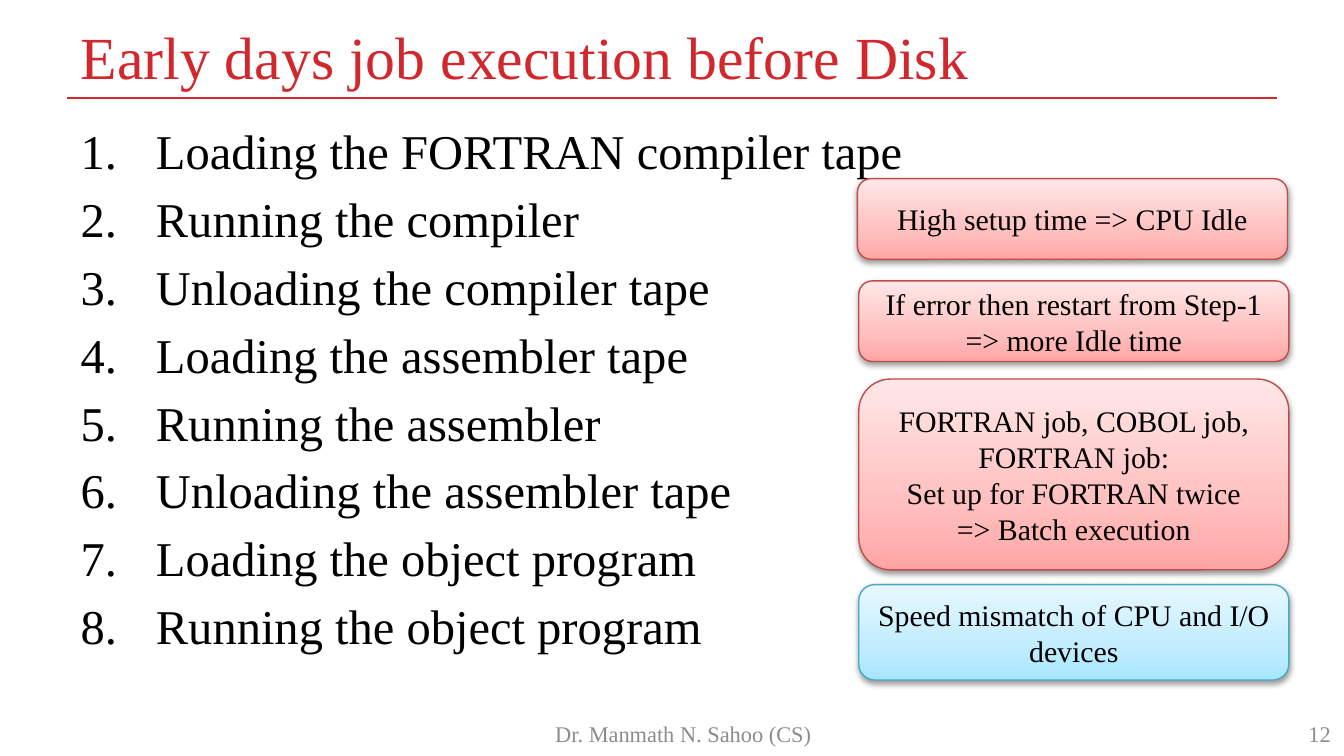
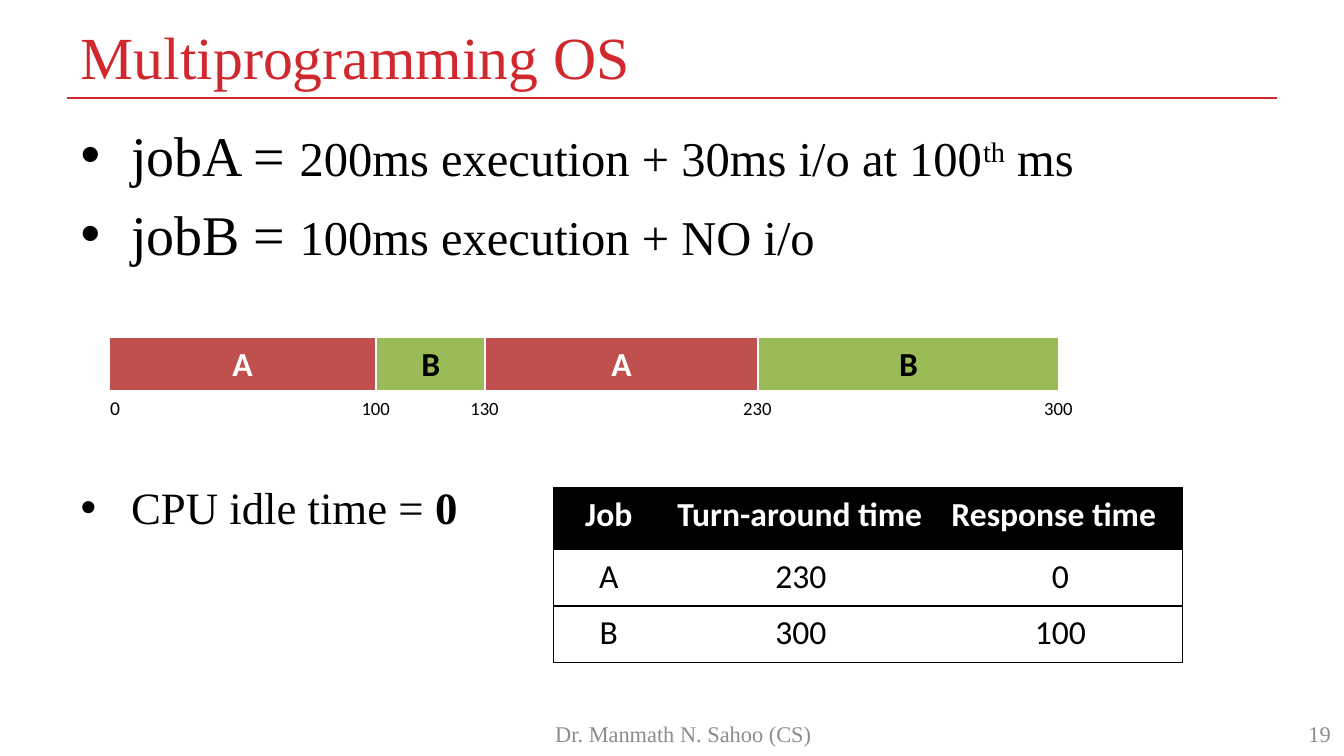
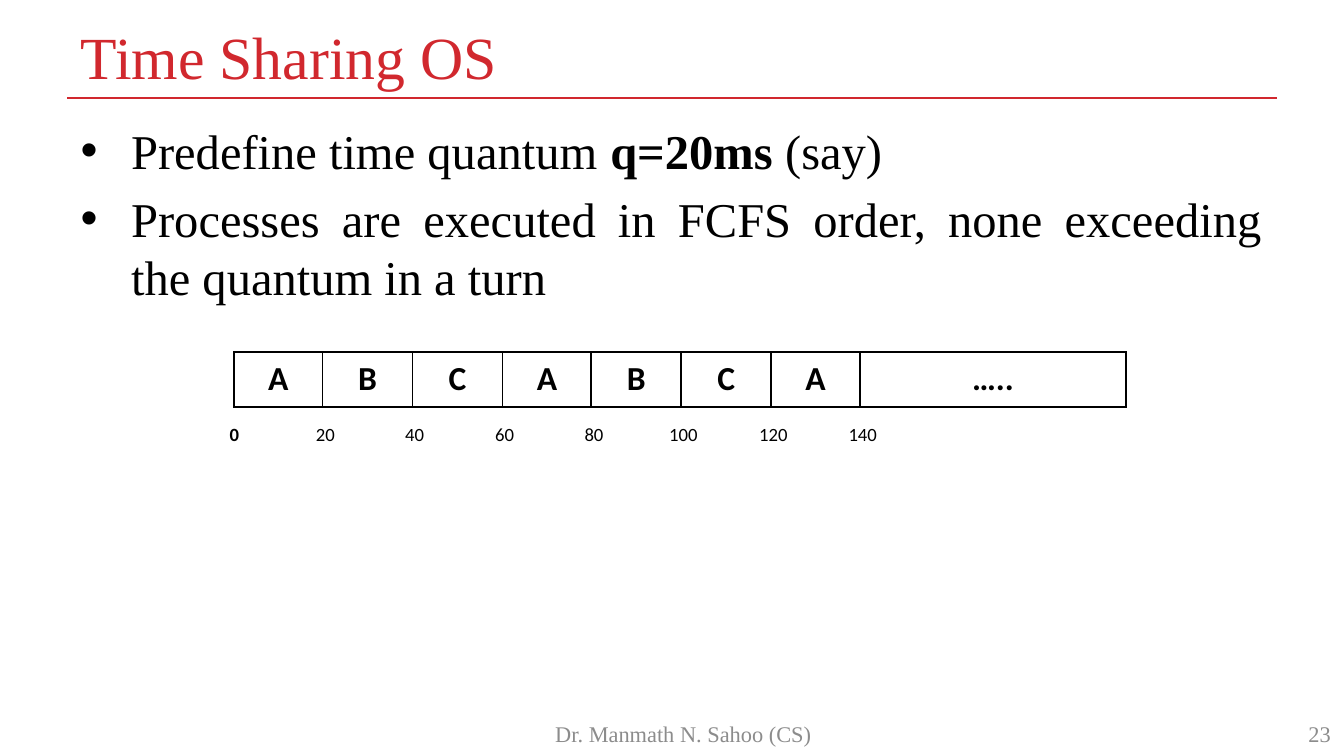
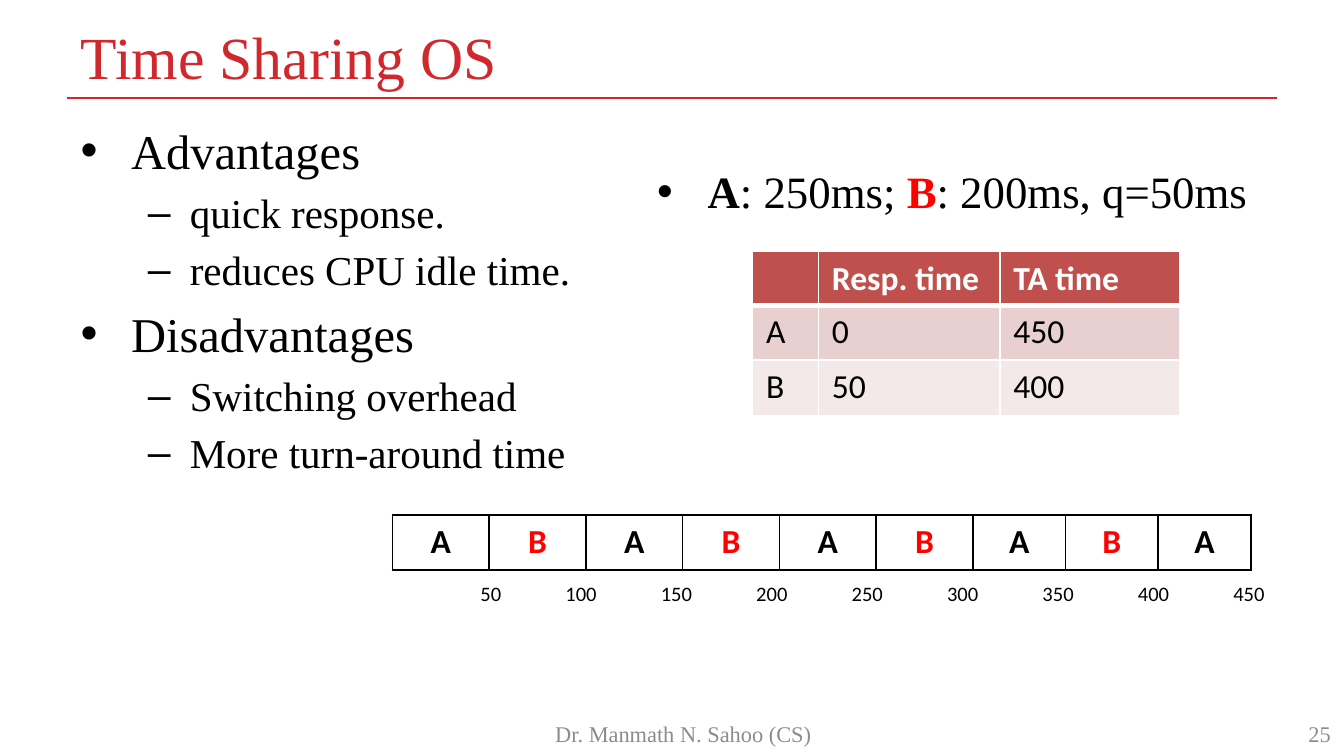
from dataclasses import dataclass

from lxml import etree
from pptx import Presentation
from pptx.dml.color import RGBColor
from pptx.enum import shapes, text
from pptx.oxml.ns import qn
from pptx.util import Emu, Pt

PX = 9144  # one px is a hundredth of an inch
SLIDE_WIDTH = 1000


@dataclass(frozen=True)
class Theme:
    serif: str = "Times New Roman"
    sans: str = "Calibri"
    accent: str = "D1282E"
    ink: str = "000000"
    paper: str = "FFFFFF"
    muted: str = "8C8C8C"
    job_a: str = "C0504D"
    job_b: str = "9BBB59"
    alert: str = "FF0000"
    bands: tuple = ("E8D0D0", "F4E9E9")
    title: int = 32
    lead: int = 30
    body: int = 26
    note: int = 24
    sub: int = 22
    cell: int = 18
    box: int = 16
    footer: int = 12
    tick: int = 10


T = Theme()
LEFT, CENTER, RIGHT, JUSTIFY = (text.PP_ALIGN.LEFT, text.PP_ALIGN.CENTER,
                                text.PP_ALIGN.RIGHT, text.PP_ALIGN.JUSTIFY)
TOP, MIDDLE, BOTTOM = (text.MSO_ANCHOR.TOP, text.MSO_ANCHOR.MIDDLE,
                       text.MSO_ANCHOR.BOTTOM)

# ---- Content ----
FOOTER = "Dr. Manmath N. Sahoo (CS)"
BODY = (50, 85, 900, 430)

JOB_STEPS = [
    "Loading the FORTRAN compiler tape",
    "Running the compiler",
    "Unloading the compiler tape",
    "Loading the assembler tape",
    "Running the assembler",
    "Unloading the assembler tape",
    "Loading the object program",
    "Running the object program",
]
RED_BOX = ("BF4C48", ((0, "FFA6A5"), (35, "FFC0BF"), (100, "FFE7E7")))
BLUE_BOX = ("46AAC5", ((0, "A7E6FF"), (35, "C1EDFF"), (100, "E7F8FF")))
REMARKS = [
    ((639, 209, 320, 60), RED_BOX,
     "If error then restart from Step-1 => more Idle time"),
    ((638, 133, 320, 60), RED_BOX, "High setup time => CPU Idle"),
    ((639, 282, 320, 142), RED_BOX,
     "FORTRAN job, COBOL job, FORTRAN job:\nSet up for FORTRAN twice\n"
     "=> Batch execution"),
    ((639, 435, 320, 71), BLUE_BOX, "Speed mismatch of CPU and I/O devices"),
]

JOBS = [
    [("jobA = ", {"size": T.lead}), ("200ms execution + 30ms i/o at 100", {}),
     ("th", {"raised": True}), (" ms", {})],
    [("jobB = ", {"size": T.lead}), ("100ms execution + NO i/o", {})],
]
IDLE = [[("CPU idle time = ", {}), ("0", {"bold": True})]]
MULTI_WIDTHS = [199, 81, 203, 224]
MULTI_RUN = ["A", "B", "A", "B"]
MULTI_TICKS = ["100", "130", "230", "300"]
JOB_TIMES = [
    ["Job", "Turn-around time", "Response time"],
    ["A", "230", "0"],
    ["B", "300", "100"],
]

QUANTUM = [
    [("Predefine time quantum ", {}), ("q=20ms ", {"bold": True}),
     ("(say)", {})],
    "Processes are executed in FCFS order, none exceeding the quantum in a turn",
]
# Three turns span 200 px
SHARE_WIDTHS = [200 * (turn + 1) // 3 - 200 * turn // 3
                for turn in range(7)] + [198]
SHARE_RUN = list("ABCABCA") + ["….."]
SHARE_TICKS = [str(20 * turn) for turn in range(1, 8)] + [""]

TRADE_OFFS = [
    ("Advantages", ["quick response.", "reduces CPU idle time."]),
    ("Disadvantages", ["Switching overhead", "More turn-around time"]),
]
EXAMPLE = [[("A", {"bold": True}), (": 250ms; ", {}),
            ("B", {"bold": True, "color": T.alert}),
            (": 200ms, q=50ms", {})]]
EXAMPLE_TIMES = [
    ["", "Resp. time", "TA time"],
    ["A", "0", "450"],
    ["B", "50", "400"],
]
EXAMPLE_RUN = list("ABABABABA")
EXAMPLE_TICKS = [str(50 * turn) for turn in range(1, 10)]


# ---- Text ----
def px(*lengths):
    return [Emu(length * PX) for length in lengths]


def rgb(color):
    return RGBColor.from_string(color)


def style(run, size, color=T.ink, bold=False, face=T.serif, raised=False):
    run.font.size, run.font.bold, run.font.name = Pt(size), bold, face
    run.font.color.rgb = rgb(color)
    if raised:
        run.font._element.set("baseline", "30000")


def write(frame, words, align=LEFT, anchor=TOP, wrap=True, **look):
    frame.text = words
    frame.word_wrap, frame.vertical_anchor = wrap, anchor
    for paragraph in frame.paragraphs:
        paragraph.alignment = align
        for run in paragraph.runs:
            style(run, **look)


def add_label(slide, place, words, **look):
    label = slide.shapes.add_textbox(*px(*place))
    write(label.text_frame, words, **look)


def place_at(placeholder, place):
    (placeholder.left, placeholder.top,
     placeholder.width, placeholder.height) = px(*place)
    placeholder.text_frame.auto_size = text.MSO_AUTO_SIZE.NONE


def fill_list(placeholder, place, items, size=T.body, numbered=False):
    """Each item is a string, a list of (words, look), or (words, sub-items)."""
    place_at(placeholder, place)
    frame = placeholder.text_frame
    frame.vertical_anchor = TOP
    lines = []
    for item in items:
        if isinstance(item, tuple):
            lines.append((0, size, [(item[0], {})]))
            lines += [(1, T.sub, [(sub, {})]) for sub in item[1]]
        else:
            parts = [(item, {})] if isinstance(item, str) else item
            lines.append((0, size, parts))
    for index, (level, line_size, parts) in enumerate(lines):
        paragraph = frame.add_paragraph() if index else frame.paragraphs[0]
        paragraph.level, paragraph.alignment = level, JUSTIFY
        if index == 0:
            paragraph.space_before = Pt(0)
        if numbered:
            props = paragraph._p.get_or_add_pPr()
            props.set("marL", str(56 * PX))
            props.set("indent", str(-56 * PX))
            etree.SubElement(props, qn("a:buAutoNum"), type="arabicPeriod")
        for words, look in parts:
            run = paragraph.add_run()
            run.text = words
            style(run, **{"size": line_size, **look})


# ---- Shared slide frame ----
def add_slide(deck, layout, title, number):
    slide = deck.slides.add_slide(deck.slide_layouts.get_by_name(layout))
    place_at(slide.shapes.title, (50, -2, 900, 75))
    write(slide.shapes.title.text_frame, title, anchor=BOTTOM,
          size=T.title, color=T.accent)
    rule = slide.shapes.add_connector(
        shapes.MSO_CONNECTOR.STRAIGHT, *px(50, 73, 950, 73))
    rule.line.color.rgb, rule.line.width = rgb(T.accent), Pt(0.75)
    etree.SubElement(rule._element.spPr, qn("a:effectLst"))
    for place, words, align in (((350, 531, 317, 30), FOOTER, CENTER),
                                ((767, 531, 233, 30), number, RIGHT)):
        add_label(slide, place, words, align=align, anchor=BOTTOM,
                  size=T.footer, color=T.muted)
    return slide


# ---- Remark boxes ----
def add_remark(slide, place, colors, words):
    outline, stops = colors
    box = slide.shapes.add_shape(
        shapes.MSO_SHAPE.ROUNDED_RECTANGLE, *px(*place))
    box.fill.gradient()
    box.fill.gradient_angle = 90
    ramp = box._element.spPr.find(".//" + qn("a:gsLst"))
    for stop in list(ramp):
        ramp.remove(stop)
    for percent, color in stops:
        stop = etree.SubElement(ramp, qn("a:gs"), pos=str(percent * 1000))
        etree.SubElement(stop, qn("a:srgbClr"), val=color)
    box.line.color.rgb, box.line.width = rgb(outline), Pt(0.75)
    box.shadow.inherit = False
    effects = box._element.spPr.find(qn("a:effectLst"))
    shade = etree.SubElement(effects, qn("a:outerShdw"), blurRad="40000",
                             dist="20000", dir="5400000", rotWithShape="0")
    tint = etree.SubElement(shade, qn("a:srgbClr"), val=T.ink)
    etree.SubElement(tint, qn("a:alpha"), val="38000")
    write(box.text_frame, words, align=CENTER, anchor=MIDDLE, size=T.box)


# ---- Tables ----
NO_STYLE = "{2D5ABB26-0587-4C30-8999-92F81FD0307C}"


def box_edges(color, width=1, bottom=None):
    return {"L": (color, width), "R": (color, width), "T": (color, width),
            "B": (color, bottom or width)}


def set_edges(cell, edges):
    props = cell._tc.get_or_add_tcPr()
    for index, side in enumerate([s for s in "LRTB" if s in edges]):
        color, width = edges[side]
        line = etree.Element(qn("a:ln" + side), w=str(Pt(width)))
        solid = etree.SubElement(line, qn("a:solidFill"))
        etree.SubElement(solid, qn("a:srgbClr"), val=color)
        props.insert(index, line)


def add_grid(slide, corner, widths, heights, rows, look, inset=None):
    """look(row, column, words) gives the fill, edges and text of a cell."""
    table = slide.shapes.add_table(
        len(rows), len(widths), *px(*corner, sum(widths), sum(heights))).table
    table.first_row = table.horz_banding = False
    table._tbl.tblPr.find(qn("a:tableStyleId")).text = NO_STYLE
    for column, width in zip(table.columns, widths):
        column.width = Emu(width * PX)
    for row, height in zip(table.rows, heights):
        row.height = Emu(height * PX)
    for r, row in enumerate(rows):
        for c, words in enumerate(row):
            cell = table.cell(r, c)
            format_cell(cell, words, inset, **look(r, c, words))


def format_cell(cell, words, inset, fill=None, edges=None, align=CENTER,
                anchor=TOP, **look):
    if fill:
        cell.fill.solid()
        cell.fill.fore_color.rgb = rgb(fill)
    else:
        cell.fill.background()
    set_edges(cell, edges or {})
    if inset is not None:
        cell.margin_left = cell.margin_right = cell.margin_top = Emu(inset * PX)
        cell.margin_bottom = 0
    cell.vertical_anchor = anchor
    cell.text = words
    for paragraph in cell.text_frame.paragraphs:
        paragraph.alignment = align
        for run in paragraph.runs:
            style(run, **{"size": T.cell, "face": T.sans, **look})


def colored_turn(row, column, job):
    is_a = job == "A"
    return {"fill": T.job_a if is_a else T.job_b, "bold": True,
            "color": T.paper if is_a else T.ink,
            "edges": box_edges(T.paper, bottom=3)}


def framed_turn(row, column, job):
    return {"bold": True, "edges": box_edges(T.ink)}


def example_turn(row, column, job):
    return {"bold": True, "edges": box_edges(T.ink),
            "color": T.alert if job == "B" else T.ink}


def tick_look(align, size=T.tick, anchor=TOP):
    return lambda row, column, words: {
        "align": align, "size": size, "anchor": anchor}


def job_time(row, column, words):
    edges = box_edges(T.ink, 0.75)
    if column > 0:
        del edges["L"]
    if column < len(JOB_TIMES[0]) - 1:
        del edges["R"]
    head = row == 0
    return {"edges": edges, "fill": T.ink if head else None, "bold": head,
            "color": T.paper if head else T.ink,
            "align": LEFT if head and column else CENTER}


def example_time(row, column, words):
    head = row == 0
    return {"fill": T.job_a if head else T.bands[row - 1], "bold": head,
            "color": T.paper if head else T.ink, "align": LEFT,
            "edges": box_edges(T.paper, bottom=3 if head else 1)}


# ---- Slides ----
def early_days(deck):
    slide = add_slide(deck, "Title and Content",
                      "Early days job execution before Disk", "12")
    fill_list(slide.placeholders[1], BODY, JOB_STEPS, numbered=True)
    for remark in REMARKS:
        add_remark(slide, *remark)


def multiprogramming(deck):
    slide = add_slide(deck, "Two Content", "Multiprogramming OS", "19")
    fill_list(slide.placeholders[1], (50, 85, 900, 140), JOBS)
    fill_list(slide.placeholders[2], (50, 352, 350, 60), IDLE, size=T.note)
    add_grid(slide, (81, 251), MULTI_WIDTHS, [41], [MULTI_RUN], colored_turn)
    add_grid(slide, (101, 291), MULTI_WIDTHS, [41], [MULTI_TICKS],
             tick_look(RIGHT))
    add_label(slide, (72, 290, 28, 29), "0", wrap=False, size=10.5,
              face=T.sans)
    add_grid(slide, (412, 363), [82, 204, 182], [46, 42, 42], JOB_TIMES,
             job_time)


def time_sharing(deck):
    slide = add_slide(deck, "Title and Content", "Time Sharing OS", "23")
    fill_list(slide.placeholders[1], BODY, QUANTUM)
    add_grid(slide, (174, 262), SHARE_WIDTHS, [41], [SHARE_RUN], framed_turn)
    add_grid(slide, (209, 310), SHARE_WIDTHS, [41], [SHARE_TICKS],
             tick_look(CENTER))
    add_label(slide, (161, 310, 27, 27), "0", wrap=False, size=T.tick,
              bold=True, face=T.sans)


def time_sharing_example(deck):
    slide = add_slide(deck, "Two Content", "Time Sharing OS", "25")
    fill_list(slide.placeholders[1], (50, 85, 446, 430), TRADE_OFFS)
    fill_list(slide.placeholders[2], (479, 117, 466, 228), EXAMPLE,
              size=T.note)
    add_grid(slide, (303, 431), [71] * 9, [21], [EXAMPLE_TICKS],
             tick_look(RIGHT, 11, BOTTOM), inset=1)
    add_grid(slide, (292, 383), [72] * 6 + [69] * 3, [41], [EXAMPLE_RUN],
             example_turn)
    add_grid(slide, (560, 187), [49, 135, 134], [40, 41, 41], EXAMPLE_TIMES,
             example_time)


def main():
    deck = Presentation()
    deck.slide_width = Emu(SLIDE_WIDTH * PX)
    deck.slide_height = Emu(SLIDE_WIDTH * PX * 9 // 16)
    for build in (early_days, multiprogramming, time_sharing,
                  time_sharing_example):
        build(deck)
    deck.save("out.pptx")


if __name__ == "__main__":
    main()
